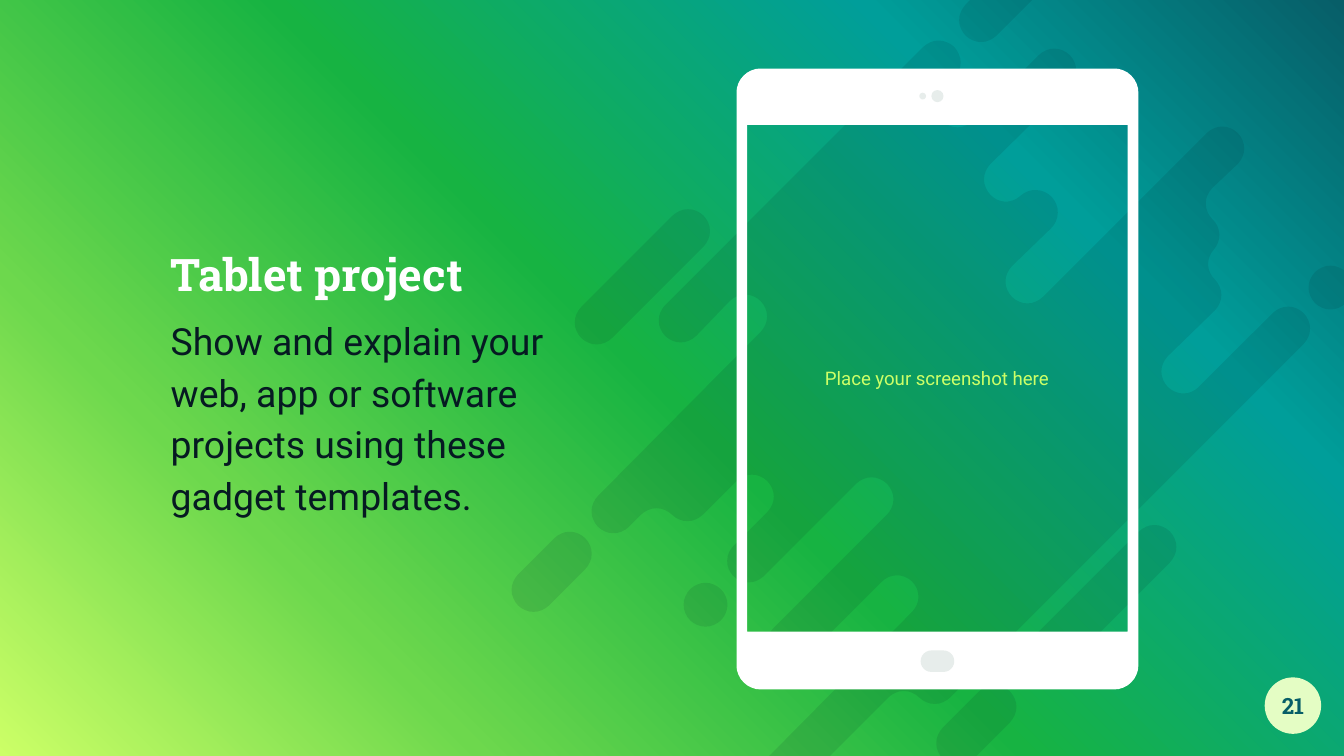
"""Build the tablet project slide: gradient, slanted pills, tablet and text."""
import math
import pptx
import pptx.util
import pptx.dml.color
import pptx.enum.shapes
import pptx.enum.text
import pptx.oxml.ns
import lxml.etree

RGB = pptx.dml.color.RGBColor
LIME = RGB(0xCC, 0xFF, 0x67)
GRASS = RGB(0x6D, 0xD8, 0x4D)
GREEN = RGB(0x17, 0xB3, 0x42)
TEAL = RGB(0x00, 0x9E, 0x9A)
DEEP = RGB(0x07, 0x5E, 0x68)
INK = RGB(0x06, 0x1A, 0x22)
PALE = RGB(0xE4, 0xFD, 0xC4)
GREY = RGB(0xE7, 0xED, 0xEB)
WHITE = RGB(0xFF, 0xFF, 0xFF)
KIND = pptx.enum.shapes.MSO_SHAPE
ALIGN = pptx.enum.text.PP_ALIGN
Inches = pptx.util.Inches
qn = pptx.oxml.ns.qn

deck = pptx.Presentation()
deck.slide_width, deck.slide_height = Inches(10), Inches(5.625)
slide = deck.slides.add_slide(deck.slide_layouts[6])
shapes = slide.shapes


def draw(loops, color):
    """Draw closed loops of (x, y, quarter turns) as one filled outline."""
    pen = None
    for loop in loops:
        x, y, _ = loop[0]
        dots = [(x, y)]
        for u, v, turn in loop[1:] + loop[:1]:
            if turn:
                sweep = turn * math.pi / 2
                lean = 0.5 / math.tan(sweep / 2)
                cx = (x + u) / 2 - (v - y) * lean
                cy = (y + v) / 2 + (u - x) * lean
                size, start = math.hypot(x - cx, y - cy), math.atan2(y - cy, x - cx)
                steps = 8 * abs(turn)
                for i in range(1, steps):
                    a = start + sweep * i / steps
                    dots.append((cx + size * math.cos(a), cy + size * math.sin(a)))
            dots.append((u, v))
            x, y = u, v
        dots = [(1000 * x, 1000 * y) for x, y in dots]
        if pen is None:
            pen = shapes.build_freeform(*dots[0], scale=914.4)
        else:
            pen.move_to(*dots[0])
        pen.add_line_segments(dots[1:], close=True)
    shape = pen.convert_to_shape()
    shape.shadow.inherit = False
    shape.fill.solid()
    shape.fill.fore_color.rgb = color
    shape.line.fill.background()
    return shape


def write(rows, box, align=ALIGN.LEFT, inset=0, lead=None, gap=0):
    """Add a middle-anchored text box with rows of (text, size, font, color, bold)."""
    frame = shapes.add_textbox(*map(Inches, box)).text_frame
    frame.word_wrap = True
    frame.vertical_anchor = pptx.enum.text.MSO_ANCHOR.MIDDLE
    frame.margin_left = frame.margin_right = Inches(inset)
    frame.margin_top = frame.margin_bottom = Inches(inset)
    for i, (text, size, font, color, bold) in enumerate(rows):
        para = frame.add_paragraph() if i else frame.paragraphs[0]
        para.alignment, para.line_spacing = align, lead
        para.space_before = pptx.util.Pt(gap)
        run = para.add_run()
        run.text = text
        run.font.size, run.font.name = pptx.util.Pt(size), font
        run.font.bold, run.font.color.rgb = bold, color


fill = slide.background.fill
fill.gradient()
fill.gradient_angle = 45
stops = slide.element.find(".//" + qn("a:gsLst"))
for stop in list(stops):
    stops.remove(stop)
for share, color in [(0, LIME), (23, GRASS), (49, GREEN), (77, TEAL), (100, DEEP)]:
    stop = lxml.etree.SubElement(stops, qn("a:gs"), pos=str(share * 1000))
    lxml.etree.SubElement(stop, qn("a:srgbClr"), val=str(color))

blob = [
    (4.95, 2.5, -1), (5.18, 2.5, -1), (5.43, 2.24, 0), (5.66, 2.47, 2),
    (4.45, 3.69, 0), (4.68, 3.92, -2), (4.77, 3.83, 0), (5, 3.83, 1),
    (5.23, 3.83, -1), (5.48, 3.58, 0), (5.71, 3.81, 2), (5.46, 4.06, 0),
    (5.68, 4.29, -2), (6.37, 3.6, 0), (6.6, 3.83, 2), (5.75, 4.68, 0),
    (5.98, 4.91, -2), (6.56, 4.33, 0), (6.79, 4.55, 2), (5.62, 5.73, 0),
    (5.85, 5.95, -2), (6.61, 5.19, 0), (6.84, 5.19, 1), (7.07, 5.19, -1),
    (9.7, 2.56, 0), (9.47, 2.33, -2), (8.92, 2.88, 0), (8.69, 2.65, 2),
    (9.04, 2.31, 0), (9.04, 2.08, -1), (9.03, 1.86, 1), (9.02, 1.63, -1),
    (9.02, 1.4, 1), (9.21, 1.22, 0), (8.98, 0.99, -2), (7.76, 2.21, 0),
    (7.53, 1.98, 2), (7.82, 1.7, 0), (7.59, 1.46, -2), (7.37, 1.45, 1),
    (7.37, 1.22, 1), (7.96, 0.64, 0), (7.73, 0.41, -2), (7.24, 0.9, 0),
    (7.01, 0.67, 2), (7.1, 0.58, 0), (6.87, 0.35, -2), (4.95, 2.27, 0),
]
loops = [blob]
half = 0.115
for x, y, run in [(9.9, 2.14, 0), (7.13, 5.53, 0.27), (5.25, 4.5, 0),
                  (7.72, 4.94, 0.87), (3.97, 4.39, 0.27), (4.44, 2.4, 0.68),
                  (7.3, 0.15, 0.39)]:
    u, v = x + run, y - run
    loops.append([(x - half, y - half, 0), (x + half, y + half, -2),
                  (u + half, v + half, 0), (u - half, v - half, -2)])
pills = draw(loops, INK)
tint = pills.fill._xPr.find(".//" + qn("a:srgbClr"))
lxml.etree.SubElement(tint, qn("a:alpha"), val="10000")

left, top, right, foot, bend = 5.48, 0.51, 8.47, 5.13, 0.18
case = [
    (left, top + bend, 0), (left + bend, top, 1),
    (right - bend, top, 0), (right, top + bend, 1),
    (right, foot - bend, 0), (right - bend, foot, 1),
    (left + bend, foot, 0), (left, foot - bend, 1),
]
screen = [(5.56, 0.93, 0), (5.56, 4.7, 0), (8.39, 4.7, 0), (8.39, 0.93, 0)]
draw([case, screen], WHITE)

badge = (9.41, 5.04, 0.42, 0.42)
for kind, box, color in [(KIND.OVAL, badge, PALE),
                         (KIND.ROUNDED_RECTANGLE, (6.85, 4.84, 0.25, 0.16), GREY),
                         (KIND.OVAL, (6.84, 0.69, 0.05, 0.05), GREY),
                         (KIND.OVAL, (6.93, 0.67, 0.09, 0.09), GREY)]:
    part = shapes.add_shape(kind, *map(Inches, box))
    part.shadow.inherit = False
    part.fill.solid()
    part.fill.fore_color.rgb = color
    part.line.fill.background()
    if kind == KIND.ROUNDED_RECTANGLE:
        part.adjustments[0] = 0.5

write([("Place your screenshot here", 10, "Roboto", LIME, False)],
      (5.55, 0.93, 2.84, 3.76), align=ALIGN.CENTER, inset=0.1)
write([("21", 12, "Roboto Slab", DEEP, True)], badge, align=ALIGN.CENTER)
write([("Tablet project", 24, "Roboto Slab", WHITE, True),
       ("Show and explain your web, app or software projects using these "
        "gadget templates.", 20, "Roboto", INK, False)],
      (1.27, 0.41, 2.95, 4.81), lead=1.15, gap=6)

deck.save("out.pptx")
